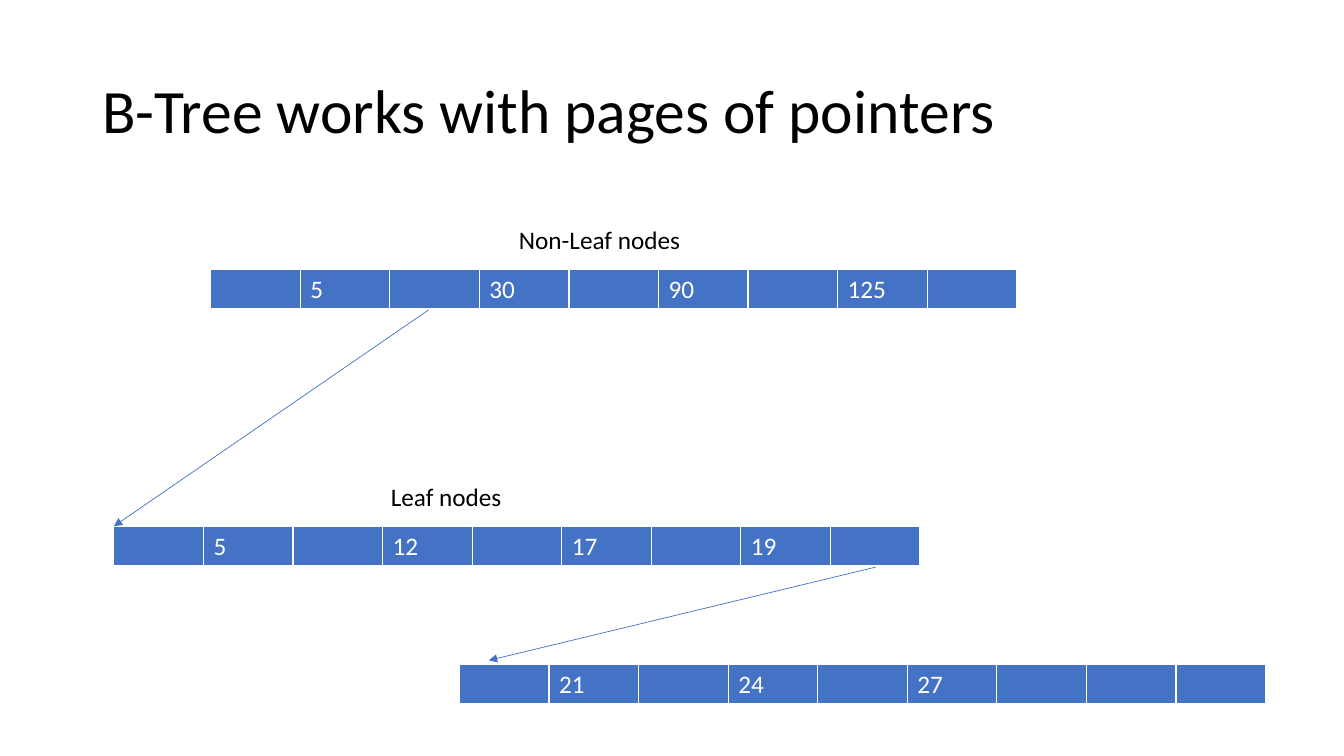
import lxml.etree
import pptx
import pptx.dml.color
import pptx.enum.shapes
import pptx.enum.text
import pptx.oxml.ns
import pptx.util

Cm = pptx.util.Cm
Pt = pptx.util.Pt
qn = pptx.oxml.ns.qn
COLOURS = {"text": "000000", "node": "4472C4", "light": "FFFFFF"}


def colour(name):
    return pptx.dml.color.RGBColor.from_string(COLOURS[name])


def add_span(para, text, size, colour_name):
    span = para.add_run()
    span.text = text
    span.font.name = "Calibri"
    span.font.size = Pt(size)
    span.font.color.rgb = colour(colour_name)


deck = pptx.Presentation()
deck.slide_width, deck.slide_height = Cm(33.87), Cm(19.05)
page = deck.slides.add_slide(deck.slide_layouts[6])

# Title and captions: text, left, top, width, height, size, wrap
texts = [
    ("B-Tree works with pages of pointers", 2.33, 1.02, 29.21, 3.68, 44, True),
    ("Non-Leaf nodes", 12.83, 5.54, 4.62, 1.03, 18, False),
    ("Leaf nodes", 9.6, 12.01, 3.33, 1.03, 18, False),
]
for text, left, top, width, height, size, wrap in texts:
    box = page.shapes.add_textbox(Cm(left), Cm(top), Cm(width), Cm(height))
    frame = box.text_frame
    frame.word_wrap = wrap
    para = frame.paragraphs[0]
    if wrap:
        frame.vertical_anchor = pptx.enum.text.MSO_ANCHOR.MIDDLE
        para.line_spacing = 0.9
    else:
        frame.auto_size = pptx.enum.text.MSO_AUTO_SIZE.SHAPE_TO_FIT_TEXT
    add_span(para, text, size, "text")

# Nodes: keys sit between pointer cells
CELL_COUNT = 9
BORDERS = {"lnL": 1, "lnR": 1, "lnT": 1, "lnB": 3}
nodes = [
    (5.31, 6.78, ["5", "30", "90", "125"]),
    (2.87, 13.26, ["5", "12", "17", "19"]),
    (11.58, 16.74, ["21", "24", "27"]),
]
for left, top, keys in nodes:
    table = page.shapes.add_table(
        1, CELL_COUNT, Cm(left), Cm(top), Cm(20.32), Cm(1.03)).table
    table.first_row = False
    table.horz_banding = False
    for index in range(CELL_COUNT):
        cell = table.cell(0, index)
        properties = cell._tc.get_or_add_tcPr()
        for side, points in BORDERS.items():
            line = lxml.etree.SubElement(properties, qn("a:" + side), w=str(Pt(points)))
            fill = lxml.etree.SubElement(line, qn("a:solidFill"))
            lxml.etree.SubElement(fill, qn("a:srgbClr"), val=COLOURS["light"])
        cell.fill.solid()
        cell.fill.fore_color.rgb = colour("node")
        if index % 2 and index // 2 < len(keys):
            add_span(cell.text_frame.paragraphs[0], keys[index // 2], 18, "light")

# Pointer arrows: from x, from y, to x, to y
for ends in [(22.07, 14.29, 12.32, 16.64), (10.8, 7.81, 2.87, 13.26)]:
    arrow = page.shapes.add_connector(
        pptx.enum.shapes.MSO_CONNECTOR.STRAIGHT, *[Cm(end) for end in ends])
    arrow.line.color.rgb = colour("node")
    arrow.line.width = Pt(0.5)
    lxml.etree.SubElement(arrow.line._get_or_add_ln(), qn("a:tailEnd"), type="triangle")
    lxml.etree.SubElement(arrow._element.spPr, qn("a:effectLst"))

deck.save("out.pptx")
